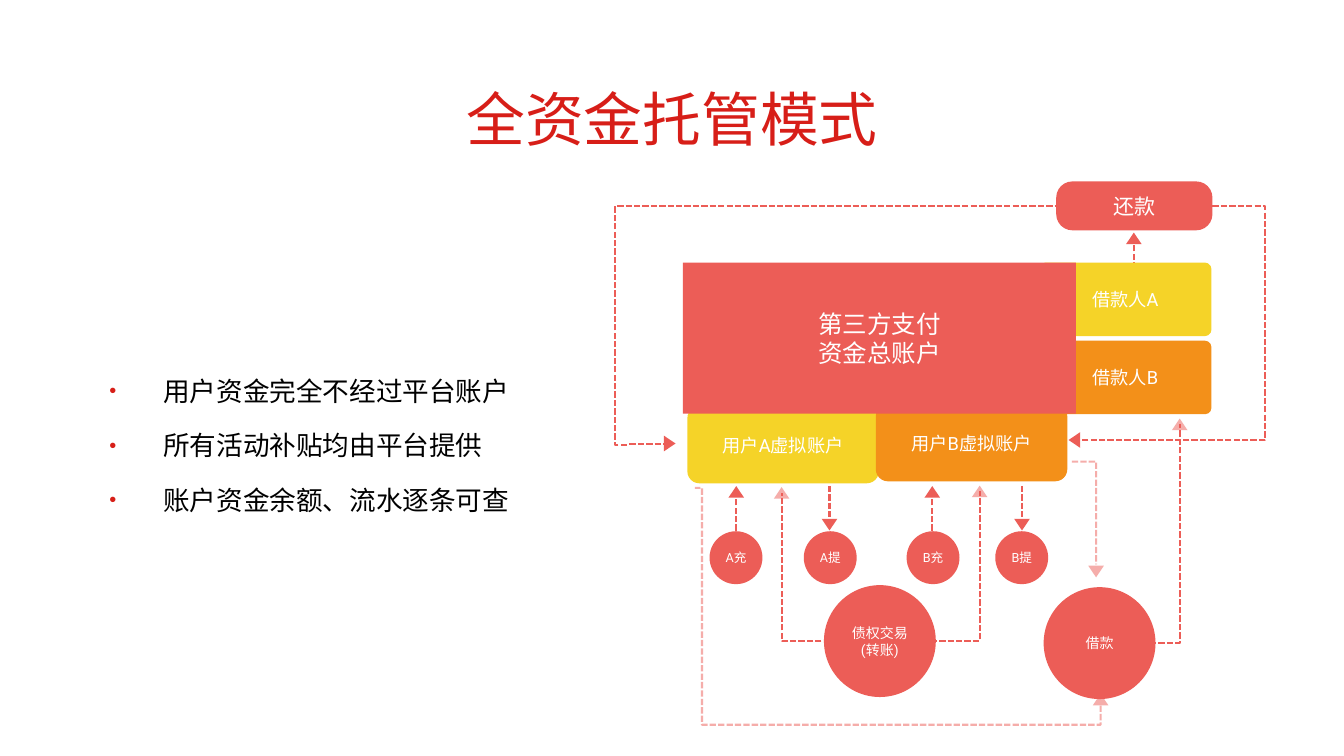
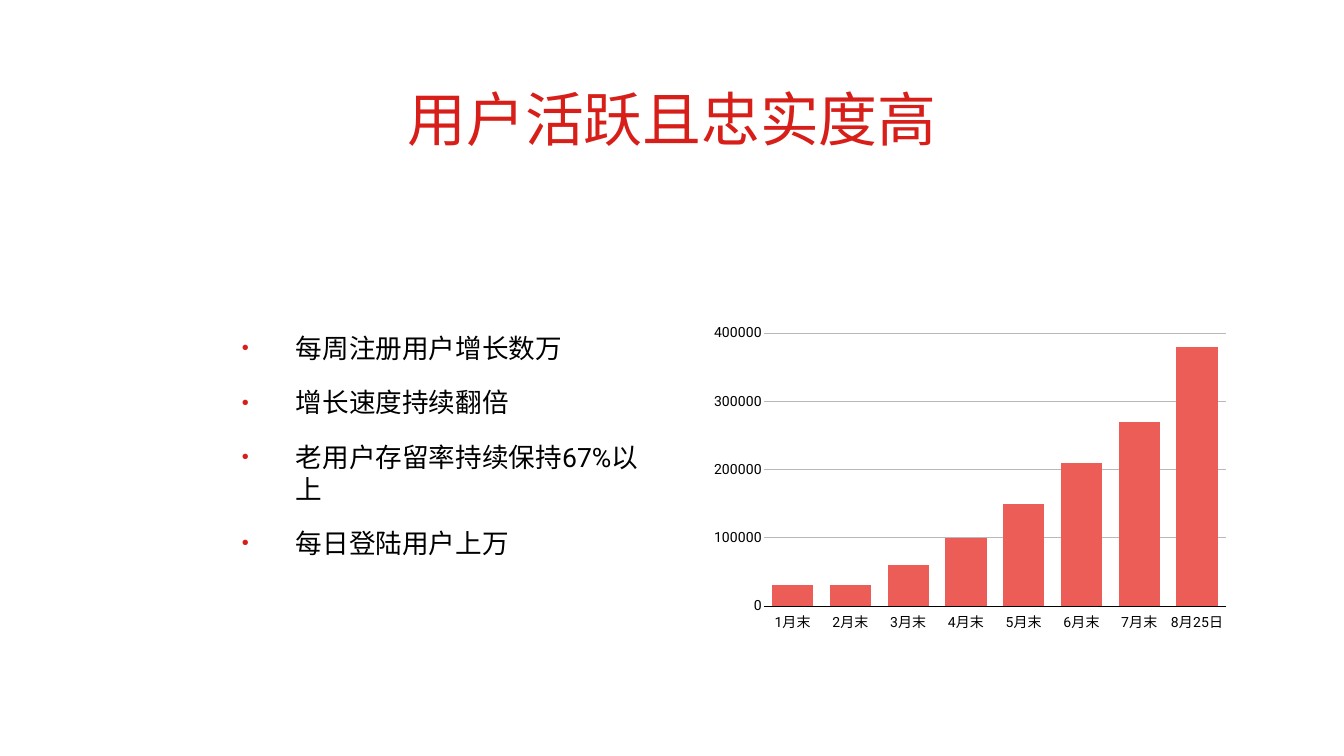
from lxml.etree import SubElement
from pptx import Presentation
from pptx.chart.data import CategoryChartData
from pptx.dml.color import RGBColor
from pptx.enum.chart import XL_CHART_TYPE, XL_TICK_LABEL_POSITION, XL_TICK_MARK
from pptx.enum.dml import MSO_LINE
from pptx.enum.shapes import MSO_CONNECTOR, MSO_SHAPE
from pptx.enum.text import MSO_ANCHOR, MSO_AUTO_SIZE, PP_ALIGN
from pptx.oxml.ns import qn
from pptx.util import Inches, Pt

TITLE_RED = RGBColor(0xD7, 0x1E, 0x18)
BULLET_RED = "D71F18"
CORAL = RGBColor(0xEC, 0x5D, 0x57)
YELLOW = RGBColor(0xF5, 0xD3, 0x28)
ORANGE = RGBColor(0xF3, 0x90, 0x19)
GRID_GRAY = RGBColor(0xB8, 0xB8, 0xB8)
BLACK = RGBColor(0, 0, 0)
WHITE = RGBColor(0xFF, 0xFF, 0xFF)

TITLE_FONT = "Noto Sans CJK SC"
ACCOUNT_FONT = "Noto Sans CJK JP"
BODY_FONT = "Roboto"

UP, RIGHT, DOWN, LEFT = 0, 90, 180, 270


def format_font(font, size, color, name=BODY_FONT):
    font.size = Pt(size)
    font.bold = False
    font.color.rgb = color
    font.name = name


def format_text(frame, size, color, align, name=BODY_FONT):
    frame.word_wrap = True
    frame.auto_size = MSO_AUTO_SIZE.NONE
    frame.vertical_anchor = MSO_ANCHOR.MIDDLE
    frame.margin_left = frame.margin_right = 0
    frame.margin_top = frame.margin_bottom = 0
    for para in frame.paragraphs:
        para.alignment = align
        for span in para.runs:
            format_font(span.font, size, color, name)
            east_asian = SubElement(span._r.get_or_add_rPr(), qn("a:ea"))
            east_asian.set("typeface", BODY_FONT)


def place(shape, left, top, width, height):
    shape.left, shape.top = Inches(left), Inches(top)
    shape.width, shape.height = Inches(width), Inches(height)


def add_bullet(para):
    properties = para._p.get_or_add_pPr()
    properties.set("marL", str(Inches(1.07)))
    properties.set("indent", str(-Inches(1.07)))
    color = SubElement(properties, qn("a:buClr"))
    SubElement(color, qn("a:srgbClr")).set("val", BULLET_RED)
    SubElement(properties, qn("a:buSzPct")).set("val", "75000")
    SubElement(properties, qn("a:buChar")).set("char", "•")


def add_page(deck, title, points, left):
    """Add a slide with its title and a bullet list that starts at left."""
    page = deck.slides.add_slide(deck.slide_layouts[1])
    heading, body = page.placeholders
    place(heading, 4.8, 0.68, 17.07, 3.32)
    heading.text_frame.text = title
    format_text(heading.text_frame, 84, TITLE_RED, PP_ALIGN.CENTER, TITLE_FONT)

    place(body, left, 4, 8.2, 9.67)
    body.text_frame.text = "\n".join(points)
    for index, para in enumerate(body.text_frame.paragraphs):
        para.space_before = Pt(32 if index else 0)
        add_bullet(para)
    format_text(body.text_frame, 38, BLACK, PP_ALIGN.LEFT)
    return page


def add_solid(page, kind, left, top, width, height, color):
    shape = page.shapes.add_shape(kind, Inches(left), Inches(top), Inches(width), Inches(height))
    shape.shadow.inherit = False
    shape.fill.solid()
    shape.fill.fore_color.rgb = color
    shape.line.fill.background()
    return shape


def add_label_box(page, text, left, top, width, height, color, size, corner=0.0, name=BODY_FONT):
    kind = MSO_SHAPE.ROUNDED_RECTANGLE if corner else MSO_SHAPE.RECTANGLE
    box = add_solid(page, kind, left, top, width, height, color)
    if corner:
        box.adjustments[0] = corner
    box.text_frame.text = text
    format_text(box.text_frame, size, WHITE, PP_ALIGN.CENTER, name)


def add_circle(page, text, left, top, diameter, size):
    circle = add_solid(page, MSO_SHAPE.OVAL, left, top, diameter, diameter, CORAL)
    circle.text_frame.text = text
    format_text(circle.text_frame, size, WHITE, PP_ALIGN.CENTER)


def fade(shape):
    """Make the colours of a shape half transparent."""
    for color in shape.element.iter(qn("a:srgbClr")):
        SubElement(color, qn("a:alpha")).set("val", "50000")


def format_dashes(line):
    line.color.rgb = CORAL
    line.width = Pt(3)
    line.dash_style = MSO_LINE.SQUARE_DOT


def add_head(page, x, y, turn, faded=False):
    """Add an arrowhead centred on x, y."""
    head = add_solid(page, MSO_SHAPE.ISOSCELES_TRIANGLE, x - 0.155, y - 0.115, 0.31, 0.23, CORAL)
    head.rotation = turn
    if faded:
        fade(head)


def add_straight(page, start, end):
    line = page.shapes.add_connector(MSO_CONNECTOR.STRAIGHT, *map(Inches, start + end))
    format_dashes(line.line)
    SubElement(line.element.spPr, qn("a:effectLst"))


def add_vertical_arrow(page, x, start, end):
    add_straight(page, (x, start), (x, end))
    if end < start:
        add_head(page, x, end + 0.05, UP)
    else:
        add_head(page, x, end - 0.05, DOWN)


def add_route(page, points, faded=False):
    """Add a dashed line with corners through the points."""
    first, *rest = [(Inches(x), Inches(y)) for x, y in points]
    builder = page.shapes.build_freeform(*first)
    builder.add_line_segments(rest, close=False)
    route = builder.convert_to_shape()
    route.shadow.inherit = False
    route.fill.background()
    format_dashes(route.line)
    if faded:
        fade(route)


def add_custody_diagram(page):
    add_vertical_arrow(page, 22.5, 5.49, 4.68)

    add_label_box(page, "用户A虚拟账户", 13.64, 8.06, 3.8, 1.53, YELLOW, 26, 0.156)
    add_label_box(page, "用户B虚拟账户", 17.38, 8.02, 3.8, 1.53, ORANGE, 26, 0.156)
    add_label_box(page, "借款人A", 20.62, 5.21, 3.42, 1.46, YELLOW, 26, 0.089)
    add_label_box(page, "借款人B", 20.62, 6.76, 3.42, 1.46, ORANGE, 26, 0.089)
    add_label_box(page, "第三方支付\n资金总账户", 13.55, 5.21, 7.8, 3, CORAL, 35, name=ACCOUNT_FONT)
    add_label_box(page, "还款", 20.96, 3.6, 3.1, 0.97, CORAL, 30, 0.33)

    add_circle(page, "债权交易\n(转账)", 16.35, 11.61, 2.22, 20)
    add_circle(page, "借款", 20.71, 11.65, 2.22, 20)
    for text, left in (("A充", 14.08), ("A提", 15.95), ("B充", 17.99), ("B提", 19.75)):
        add_circle(page, text, left, 10.54, 1.05, 18)

    for x in (14.61, 18.5):
        add_vertical_arrow(page, x, 10.53, 9.71)
    for x in (16.46, 20.28):
        add_vertical_arrow(page, x, 9.64, 10.46)

    # Transfers between users
    for x, tip in ((19.44, 9.75), (15.51, 9.78)):
        add_route(page, [(17.47, 12.72), (x, 12.72), (x, tip)])
        add_head(page, x, tip, UP, faded=True)

    # Lending out and paying to the borrower
    add_route(page, [(21.27, 9.16), (21.75, 9.16), (21.75, 11.2)], faded=True)
    add_head(page, 21.75, 11.34, DOWN, faded=True)
    add_route(page, [(21.84, 14), (21.84, 14.38), (13.93, 14.38), (13.93, 9.68), (13.79, 9.68)],
              faded=True)
    add_head(page, 21.84, 13.88, UP, faded=True)
    add_route(page, [(21.82, 12.75), (23.41, 12.75), (23.41, 8.42)])
    add_head(page, 23.41, 8.42, UP, faded=True)

    # Repayment to both users
    add_route(page, [(12.44, 8.83), (12.21, 8.83), (12.21, 4.09), (20.96, 4.09)])
    add_straight(page, (12.49, 8.81), (13.16, 8.81))
    add_head(page, 13.29, 8.8, RIGHT)
    add_route(page, [(24.06, 4.09), (25.1, 4.09), (25.1, 8.73), (21.33, 8.73)])
    add_head(page, 21.32, 8.73, LEFT)


def set_plot_area(chart, x, y, width, height):
    """Fix the inner plot area, in parts of the chart's size."""
    plot_area = chart.element.find(".//" + qn("c:plotArea"))
    layout = plot_area.find(qn("c:layout"))
    if layout is None:
        layout = SubElement(plot_area, qn("c:layout"))
        plot_area.insert(0, layout)
    manual = SubElement(layout, qn("c:manualLayout"))
    settings = {"layoutTarget": "inner", "xMode": "edge", "yMode": "edge",
                "x": x, "y": y, "w": width, "h": height}
    for tag, value in settings.items():
        SubElement(manual, qn("c:" + tag)).set("val", str(value))


def add_user_chart(page):
    data = CategoryChartData()
    data.categories = [f"{month}月末" for month in range(1, 8)] + ["8月25日"]
    data.add_series("注册用户数",
                    [30000, 30000, 60000, 100000, 150000, 210000, 270000, 380000])
    frame = page.shapes.add_chart(XL_CHART_TYPE.COLUMN_CLUSTERED, Inches(13.97), Inches(5.72),
                                  Inches(10.79), Inches(6.85), data)
    chart = frame.chart
    chart.has_title = False
    chart.has_legend = False
    format_font(chart.font, 20, BLACK)
    set_plot_area(chart, 0.11, 0.13, 0.85, 0.79)

    plot = chart.plots[0]
    plot.vary_by_categories = False
    plot.gap_width = 40
    plot.overlap = -10
    bars = plot.series[0].format.fill
    bars.solid()
    bars.fore_color.rgb = CORAL

    months, users = chart.category_axis, chart.value_axis
    for axis in (months, users):
        axis.major_tick_mark = axis.minor_tick_mark = XL_TICK_MARK.NONE
        format_font(axis.tick_labels.font, 20, BLACK)
    months.tick_label_position = XL_TICK_LABEL_POSITION.LOW
    months.format.line.color.rgb = BLACK
    months.format.line.width = Pt(1)
    users.minimum_scale, users.maximum_scale, users.major_unit = 0, 400000, 100000
    users.tick_labels.number_format = "0"
    users.tick_labels.number_format_is_linked = False
    users.format.line.fill.background()
    users.major_gridlines.format.line.color.rgb = GRID_GRAY
    users.major_gridlines.format.line.width = Pt(1)


def main():
    deck = Presentation()
    deck.slide_width, deck.slide_height = Inches(26.67), Inches(15)

    custody = add_page(deck, "全资金托管模式", [
        "用户资金完全不经过平台账户",
        "所有活动补贴均由平台提供",
        "账户资金余额、流水逐条可查",
    ], left=2.17)
    add_custody_diagram(custody)

    growth = add_page(deck, "用户活跃且忠实度高", [
        "每周注册用户增长数万",
        "增长速度持续翻倍",
        "老用户存留率持续保持67%以上",
        "每日登陆用户上万",
    ], left=4.8)
    add_user_chart(growth)

    deck.save("out.pptx")


if __name__ == "__main__":
    main()
